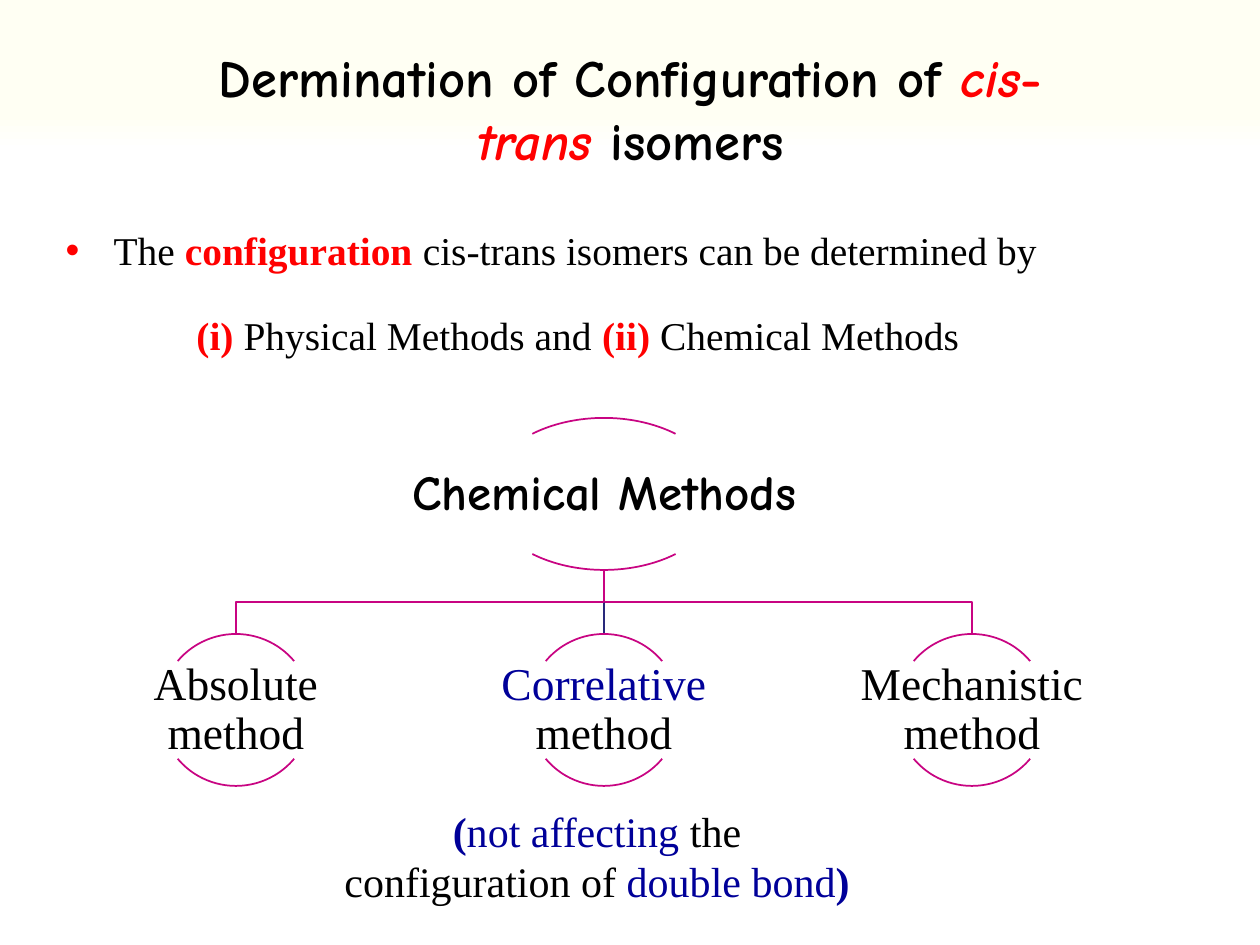
from lxml.etree import SubElement
from pptx import Presentation
from pptx.dml.color import RGBColor
from pptx.enum.shapes import MSO_CONNECTOR, MSO_SHAPE
from pptx.enum.text import MSO_ANCHOR, MSO_AUTO_SIZE, PP_ALIGN
from pptx.oxml.ns import qn
from pptx.util import Pt

COLORS = {"ink": "000000", "red": "FF0000", "navy": "000099", "arc": "C80482",
          "stem": "29297B", "cream": "FFFFF3", "white": "FFFFFF"}
SERIF, COMIC = "Times New Roman", "Comic Neue"
SCALE = 914400 / 126

TITLE = [("Dermination of Configuration of ", "ink", "b"), ("cis", "red", "bi"),
         ("-", "red", "b"), ("trans", "red", "bi"), (" isomers", "ink", "b")]
INTRO = [("The ", "ink", ""), ("configuration ", "red", "b"),
         ("cis-trans isomers can be determined by", "ink", "")]
KINDS = [("(i) ", "red", "b"), ("Physical Methods and ", "ink", ""),
         ("(ii) ", "red", "b"), ("Chemical Methods", "ink", "")]
ROOT = [("Chemical Methods", "ink", "b")]
METHODS = [[("Absolute method", "ink", "")],
           [("Correlative ", "navy", ""), ("method", "ink", "")],
           [("Mechanistic method", "ink", "")]]
NOTE = [("(", "navy", "b"), ("not affecting ", "navy", ""),
        ("the configuration of ", "ink", ""), ("double bond", "navy", ""), (")", "navy", "b")]

CENTER_X, STEP = 604, 368
ROOT_TOP, ROOT_BOTTOM, METHOD_TOP = 418, 570, 634
ARC_H = ROOT_BOTTOM - ROOT_TOP
ARC_SPANS = [(132, 192), (24, 84)]


def px(n):
    return round(n * SCALE)


def rgb(name):
    return RGBColor.from_string(COLORS[name])


def add_text(s, runs, box, size, font=SERIF, sp=None, align=PP_ALIGN.CENTER,
             anchor=MSO_ANCHOR.TOP, inset=None, spacing=None, bullet=None):
    """Fill a placeholder or a new text box with one formatted paragraph."""
    box = [px(n) for n in box]
    if sp is None:
        sp = s.shapes.add_textbox(*box)
    sp.left, sp.top, sp.width, sp.height = box
    tf = sp.text_frame
    tf.word_wrap, tf.auto_size, tf.vertical_anchor = True, MSO_AUTO_SIZE.NONE, anchor
    if inset is not None:
        tf.margin_left = tf.margin_right = tf.margin_top = tf.margin_bottom = px(inset)
    p = tf.paragraphs[0]
    p.alignment, p.space_before = align, Pt(0)
    if spacing:
        p.line_spacing = spacing
    if bullet:
        pPr = p._p.get_or_add_pPr()
        pPr.set("marL", str(px(48)))
        pPr.set("indent", str(-px(48)))
        color = SubElement(pPr, qn("a:buClr"))
        SubElement(color, qn("a:srgbClr")).set("val", COLORS["red"])
        SubElement(pPr, qn("a:buChar")).set("char", bullet)
    for text, color, style in runs:
        r = p.add_run()
        r.text = text
        r.font.name, r.font.size, r.font.color.rgb = font, Pt(size), rgb(color)
        r.font.bold, r.font.italic = "b" in style, "i" in style


def set_line(sp, color):
    sp.line.color.rgb, sp.line.width = rgb(color), Pt(1)


def add_elbow(s, x):
    mid = (ROOT_BOTTOM + METHOD_TOP) // 2
    fb = s.shapes.build_freeform(px(CENTER_X), px(ROOT_BOTTOM))
    fb.add_line_segments([(px(CENTER_X), px(mid)), (px(x), px(mid)),
                          (px(x), px(METHOD_TOP))], close=False)
    sp = fb.convert_to_shape()
    sp.shadow.inherit = False
    sp.fill.background()
    set_line(sp, "arc")


def add_stem(s):
    sp = s.shapes.add_connector(MSO_CONNECTOR.STRAIGHT, px(CENTER_X), px(ROOT_BOTTOM),
                                px(CENTER_X), px(METHOD_TOP))
    set_line(sp, "stem")
    SubElement(sp._element.spPr, qn("a:effectLst"))


def add_node(s, runs, x, top, arc_w, text_w, **fmt):
    for span in ARC_SPANS:
        sp = s.shapes.add_shape(MSO_SHAPE.ARC, px(x - arc_w / 2), px(top), px(arc_w), px(ARC_H))
        sp.adjustments[0], sp.adjustments[1] = span
        sp.shadow.inherit = False
        sp.fill.background()
        set_line(sp, "arc")
    add_text(s, runs, (x - text_w / 2, top + 28, text_w, 97),
             anchor=MSO_ANCHOR.MIDDLE, inset=2, spacing=0.9, **fmt)


def main():
    prs = Presentation()
    prs.slide_width, prs.slide_height = px(1260), px(945)
    s = prs.slides.add_slide(prs.slide_layouts[1])
    fill = s.background.fill
    fill.gradient()
    fill.gradient_angle = 270
    for stop, (color, pos) in zip(fill.gradient_stops, [("cream", 0.12), ("white", 0.16)]):
        stop.color.rgb, stop.position = rgb(color), pos

    add_text(s, TITLE, (158, 39, 945, 140), 30, COMIC, sp=s.shapes.title)
    xs = [CENTER_X + STEP * (i - 1) for i in range(len(METHODS))]
    add_elbow(s, xs[2])
    add_stem(s)
    add_elbow(s, xs[0])
    add_node(s, ROOT, CENTER_X, ROOT_TOP, 234, 467, size=28, font=COMIC)
    for x, runs in zip(xs, METHODS):
        add_node(s, runs, x, METHOD_TOP, ARC_H, 304, size=26)
    add_text(s, NOTE, (325, 799, 544, 115), 24)
    add_text(s, INTRO, (53, 220, 1155, 60), 22.5, sp=s.placeholders[1],
             align=PP_ALIGN.JUSTIFY, bullet="•")
    add_text(s, KINDS, (158, 305, 840, 60), 22.5)
    prs.save("out.pptx")


if __name__ == "__main__":
    main()
